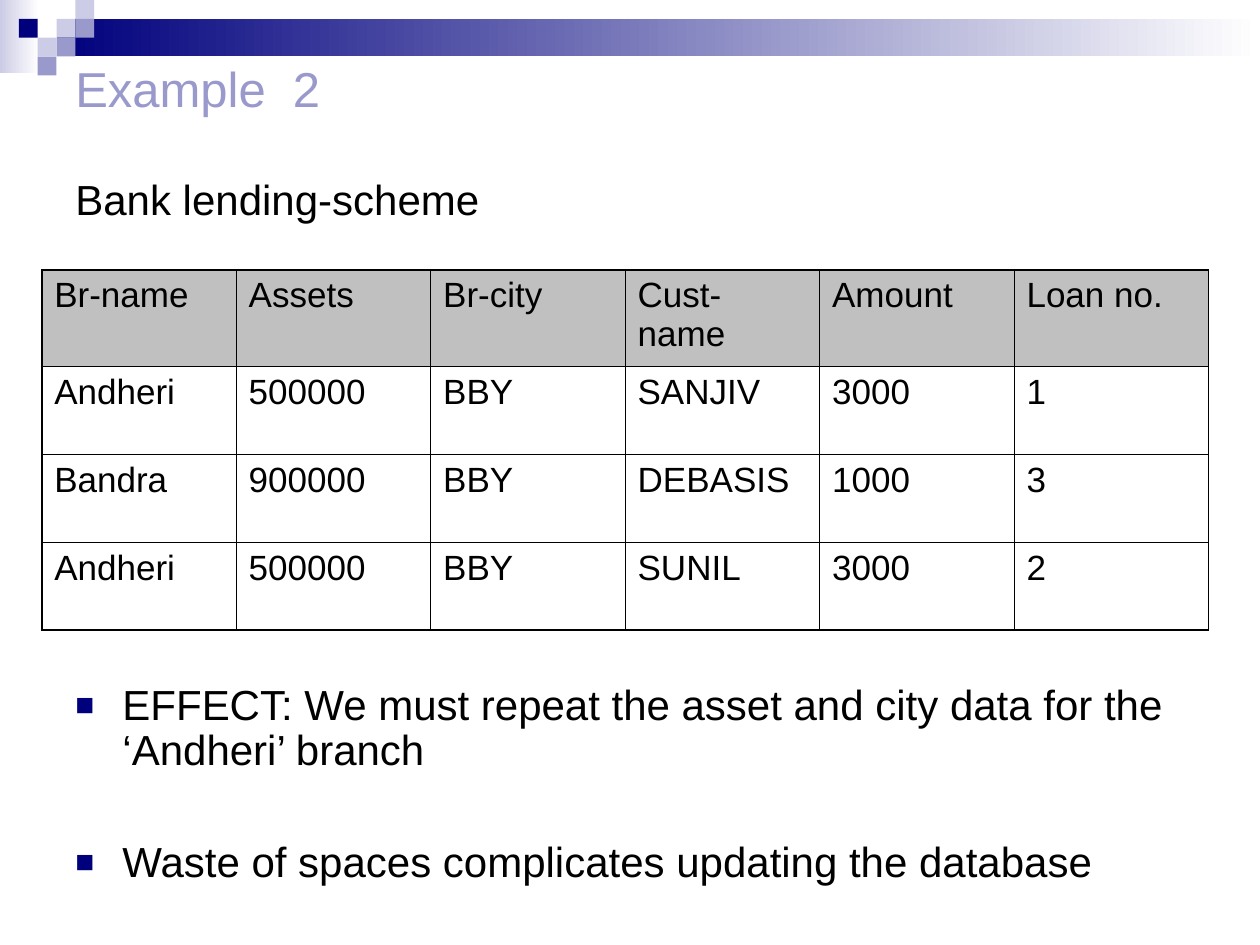
from dataclasses import dataclass

from lxml.etree import SubElement
from pptx import Presentation
from pptx.dml.color import RGBColor as Rgb
from pptx.enum.shapes import MSO_SHAPE as Shape
from pptx.enum.text import MSO_ANCHOR as Anchor
from pptx.oxml.ns import qn
from pptx.util import Cm, Pt


@dataclass(frozen=True)
class Theme:
    font: str = "Arial"
    navy: str = "00007D"
    lilac: str = "9999CC"
    pale: str = "CCCCE6"
    white: str = "FFFFFF"
    black: str = "000000"
    header: str = "C0C0C0"
    title: int = 28
    body: int = 24
    cell: int = 20
    outer_line: float = 1.08
    inner_line: float = 0.45


theme = Theme()


def style(paragraph, size, color):
    for run in paragraph.runs:
        run.font.name = theme.font
        run.font.size = Pt(size)
        run.font.color.rgb = Rgb.from_string(color)


def add_block(left, top, width, height):
    block = slide.shapes.add_shape(
        Shape.RECTANGLE, Cm(left), Cm(top), Cm(width), Cm(height))
    block.shadow.inherit = False
    block.line.fill.background()
    return block


deck = Presentation()
deck.slide_width, deck.slide_height = Cm(25.4), Cm(19.05)
slide = deck.slides.add_slide(deck.slide_layouts[6])

# Fading bands along the top
unit = 0.38
bands = [
    ((0, 0, 0.79, 1.47), theme.pale),
    ((3 * unit, unit, 25.4 - 3 * unit, 2 * unit), theme.navy),
]
for place, color in bands:
    fill = add_block(*place).fill
    fill.gradient()
    fill.gradient_angle = 180
    for stop, stop_color in zip(fill.gradient_stops, (theme.white, color)):
        stop.color.rgb = Rgb.from_string(stop_color)

# Mosaic squares on a grid: column, row, colour
mosaic = [
    (3, 1, theme.pale), (4, 0, theme.pale), (4, 1, theme.lilac),
    (2, 2, theme.pale), (1, 1, theme.navy), (3, 2, theme.lilac),
    (2, 3, theme.lilac),
]
for column, row, color in mosaic:
    square = add_block(column * unit, row * unit, unit, unit)
    square.fill.solid()
    square.fill.fore_color.rgb = Rgb.from_string(color)

# Title and subtitle
heading = slide.shapes.add_textbox(
    Cm(1.27), Cm(2.11), Cm(22.86), Cm(1.47)).text_frame
heading.word_wrap = True
heading.vertical_anchor = Anchor.MIDDLE
heading.text = "Example  2\nBank lending-scheme"
title, subtitle = heading.paragraphs
style(title, theme.title, theme.lilac)
style(subtitle, theme.body, theme.black)
subtitle.space_before = Pt(32)

# Effects of the redundant data
effects = slide.shapes.add_textbox(
    Cm(1.27), Cm(13.67), Cm(22.86), Cm(4.55)).text_frame
effects.word_wrap = True
effects.text = (
    "EFFECT: We must repeat the asset and city data for the ‘Andheri’ branch\n"
    "Waste of spaces complicates updating the database")
for effect in effects.paragraphs:
    properties = effect._p.get_or_add_pPr()
    properties.set("marL", str(Cm(0.95)))
    properties.set("indent", str(-Cm(0.95)))
    bullet_color = SubElement(properties, qn("a:buClr"))
    SubElement(bullet_color, qn("a:srgbClr"), val=theme.navy)
    SubElement(properties, qn("a:buSzPct"), val="75000")
    SubElement(properties, qn("a:buFont"), typeface=theme.font)
    SubElement(properties, qn("a:buChar"), char="■")
    effect.line_spacing = 0.9
    style(effect, theme.body, theme.black)
effects.paragraphs[1].space_before = Pt(38)

# Lending table
lending = [
    ("Br-name", "Assets", "Br-city", "Cust-name", "Amount", "Loan no."),
    ("Andheri", "500000", "BBY", "SANJIV", "3000", "1"),
    ("Bandra", "900000", "BBY", "DEBASIS", "1000", "3"),
    ("Andheri", "500000", "BBY", "SUNIL", "3000", "2"),
]
last_row, last_column = len(lending) - 1, len(lending[0]) - 1
table = slide.shapes.add_table(
    len(lending), len(lending[0]),
    Cm(0.84), Cm(5.44), Cm(23.52), Cm(7.26)).table
table.first_row = table.horz_banding = False
for table_column in table.columns:
    table_column.width = Cm(3.92)
for r, loan in enumerate(lending):
    table.rows[r].height = Cm(1.77 if r else 1.95)
    for c, entry in enumerate(loan):
        cell = table.cell(r, c)
        cell.text = entry
        style(cell.text_frame.paragraphs[0], theme.cell, theme.black)
        # Thick borders outside, thin ones inside
        outer_sides = {"L": c == 0, "R": c == last_column,
                       "T": r == 0, "B": r == last_row}
        cell_properties = cell._tc.get_or_add_tcPr()
        for side, is_outer in outer_sides.items():
            weight = theme.outer_line if is_outer else theme.inner_line
            border = SubElement(
                cell_properties, qn(f"a:ln{side}"), w=str(Pt(weight)))
            border_fill = SubElement(border, qn("a:solidFill"))
            SubElement(border_fill, qn("a:srgbClr"), val=theme.black)
        if r == 0:
            cell.fill.solid()
            cell.fill.fore_color.rgb = Rgb.from_string(theme.header)
        else:
            cell.fill.background()

deck.save("out.pptx")
